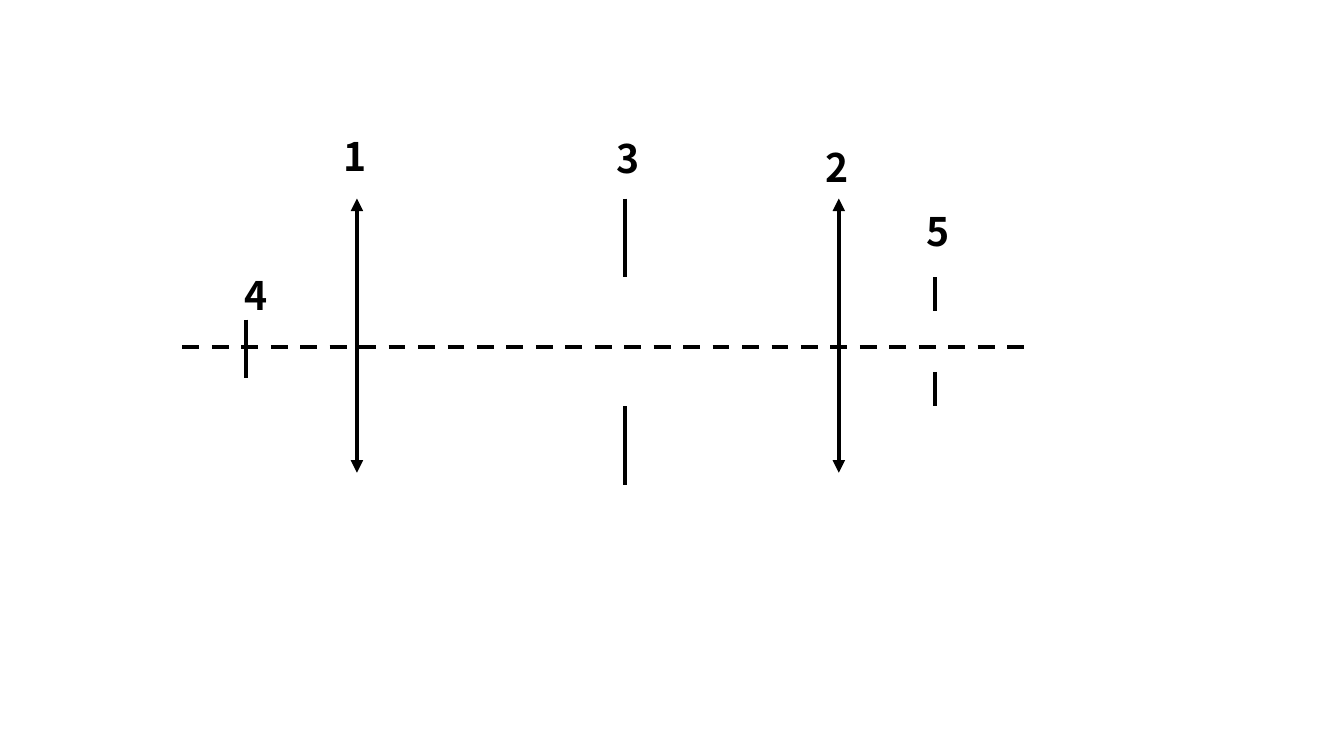
from lxml.etree import SubElement
from pptx import Presentation
from pptx.dml.color import RGBColor
from pptx.enum.dml import MSO_LINE
from pptx.enum.shapes import MSO_CONNECTOR
from pptx.enum.text import MSO_AUTO_SIZE
from pptx.oxml.ns import qn
from pptx.util import Inches, Pt


def color(hex_text):
    return RGBColor.from_string(hex_text)


def write(box, text, font="Noto Sans CJK SC", size=28, bold=True, fill="000000"):
    span = box.text_frame.paragraphs[0].add_run()
    span.text = text
    span.font.name = font
    span.font.size = Pt(size)
    span.font.bold = bold
    span.font.color.rgb = color(fill)


class Diagram:
    ink = "000000"
    line_width = 3
    label_size = (0.62, 0.57)

    def __init__(self, page):
        self.page = page

    def line(self, start, end, dashed=False, arrows=False):
        connector = self.page.shapes.add_connector(
            MSO_CONNECTOR.STRAIGHT, *map(Inches, (*start, *end)))
        connector.line.color.rgb = color(self.ink)
        connector.line.width = Pt(self.line_width)
        if dashed:
            connector.line.dash_style = MSO_LINE.DASH
        if arrows:
            outline = connector.line._get_or_add_ln()
            for tip in ("a:headEnd", "a:tailEnd"):
                SubElement(outline, qn(tip), type="triangle")
        SubElement(connector._element.spPr, qn("a:effectLst"))

    def upright(self, x, top, bottom, arrows=False):
        self.line((x, top), (x, bottom), arrows=arrows)

    def label(self, text, left, top):
        box = self.page.shapes.add_textbox(
            *map(Inches, (left, top, *self.label_size)))
        box.text_frame.word_wrap = True
        box.text_frame.auto_size = MSO_AUTO_SIZE.SHAPE_TO_FIT_TEXT
        write(box, text, fill=self.ink)


def main():
    deck = Presentation()
    deck.slide_width = Inches(13.33)
    deck.slide_height = Inches(7.5)
    diagram = Diagram(deck.slides.add_slide(deck.slide_layouts[6]))

    # Optical axis
    diagram.line((1.81, 3.44), (10.25, 3.44), dashed=True)

    # Lenses
    for lens_x in (3.54, 8.32):
        diagram.upright(lens_x, 1.97, 4.69, arrows=True)

    # Object mark and the two halves of each aperture
    for x, top, bottom in (
        (2.44, 3.17, 3.75),
        (6.2, 1.97, 2.75),
        (6.2, 4.03, 4.81),
        (9.27, 2.75, 3.09),
        (9.27, 3.69, 4.03),
    ):
        diagram.upright(x, top, bottom)

    # Numbers
    for number, left, top in (
        ("2", 8.09, 1.37),
        ("1", 3.31, 1.26),
        ("3", 6.02, 1.28),
        ("4", 2.33, 2.64),
        ("5", 9.09, 2.01),
    ):
        diagram.label(number, left, top)

    deck.save("out.pptx")


if __name__ == "__main__":
    main()
